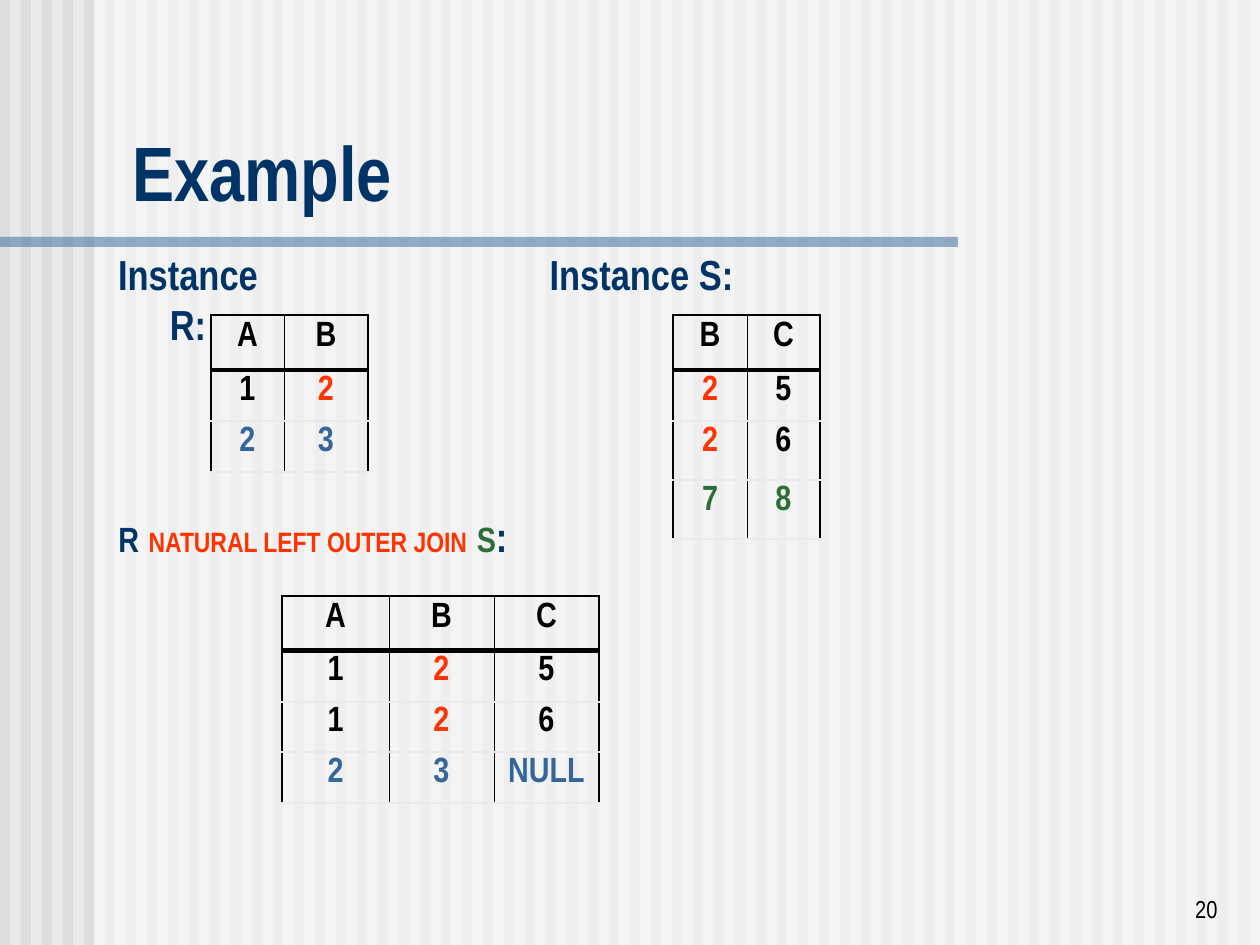
from dataclasses import dataclass

import lxml.etree
import pptx
import pptx.dml.color
import pptx.enum.shapes
import pptx.enum.text
import pptx.oxml.ns
import pptx.util

ALIGN = pptx.enum.text.PP_ALIGN
ANCHOR = pptx.enum.text.MSO_ANCHOR
PX = pptx.util.Inches(1) / 126


@dataclass(frozen=True)
class Theme:
    font: str = "Arial Narrow"
    page: str = "EAEAEA"
    stripe: str = "DDDDDD"
    sheet: str = "FFFFFF"
    navy: str = "003366"
    black: str = "000000"
    red: str = "FF3300"
    blue: str = "336699"
    green: str = "2D6D38"
    title_size: int = 44
    heading_size: int = 24
    table_size: int = 20
    keyword_size: int = 16
    number_size: int = 14
    thin: float = 0.45
    frame: float = 1.08
    divider: float = 1.47
    header_rule: float = 3


THEME = Theme()


@dataclass(frozen=True)
class Area:
    left: int
    top: int
    width: int
    height: int

    def emu(self) -> tuple[int, ...]:
        return tuple(px(n) for n in (self.left, self.top, self.width, self.height))


@dataclass(frozen=True)
class Span:
    text: str
    color: str = THEME.black
    size: int = THEME.table_size


@dataclass(frozen=True)
class Label:
    area: Area
    spans: tuple[Span, ...]
    align: ALIGN = ALIGN.LEFT
    anchor: ANCHOR = ANCHOR.TOP
    bold: bool = True
    wrap: bool = False


@dataclass(frozen=True)
class Relation:
    left: int
    top: int
    columns: tuple[int, ...]
    heights: tuple[int, ...]
    rows: tuple[tuple[Span, ...], ...]


def px(count: int) -> int:
    return round(count * PX)


def rgb(color: str) -> pptx.dml.color.RGBColor:
    return pptx.dml.color.RGBColor.from_string(color)


def add_block(page, area: Area, color: str, opacity: int = 100) -> None:
    block = page.shapes.add_shape(pptx.enum.shapes.MSO_SHAPE.RECTANGLE, *area.emu())
    block.shadow.inherit = False
    block.line.fill.background()
    block.fill.solid()
    block.fill.fore_color.rgb = rgb(color)
    if opacity < 100:
        tint = block.fill._xPr.find(".//" + pptx.oxml.ns.qn("a:srgbClr"))
        lxml.etree.SubElement(tint, pptx.oxml.ns.qn("a:alpha"), val=str(opacity * 1000))


def style_font(font, span: Span) -> None:
    font.size = pptx.util.Pt(span.size)
    font.color.rgb = rgb(span.color)


def write_spans(para, spans: tuple[Span, ...], align: ALIGN, bold: bool = True) -> None:
    para.alignment = align
    para.font.name = THEME.font
    para.font.bold = bold
    if len(spans) == 1:
        style_font(para.font, spans[0])
    for span in spans:
        run = para.add_run()
        run.text = span.text
        if len(spans) > 1:
            style_font(run.font, span)


def add_label(page, label: Label) -> None:
    frame = page.shapes.add_textbox(*label.area.emu()).text_frame
    frame.word_wrap = label.wrap
    frame.vertical_anchor = label.anchor
    write_spans(frame.paragraphs[0], label.spans, label.align, label.bold)


def add_border(cell, side: str, color: str, width: float) -> None:
    properties = cell._tc.get_or_add_tcPr()
    line = lxml.etree.SubElement(
        properties, pptx.oxml.ns.qn(f"a:ln{side}"), w=str(pptx.util.Pt(width)))
    fill = lxml.etree.SubElement(line, pptx.oxml.ns.qn("a:solidFill"))
    lxml.etree.SubElement(fill, pptx.oxml.ns.qn("a:srgbClr"), val=color)


def add_relation(page, relation: Relation) -> None:
    area = Area(relation.left, relation.top, sum(relation.columns), sum(relation.heights))
    last = len(relation.columns) - 1
    table = page.shapes.add_table(len(relation.rows), last + 1, *area.emu()).table
    table.first_row = False
    table.horz_banding = False
    for column, width in zip(table.columns, relation.columns):
        column.width = px(width)
    for row, height in zip(table.rows, relation.heights):
        row.height = px(height)

    header_rule = (THEME.black, THEME.header_rule)
    divider = (THEME.page, THEME.divider)
    for r, spans in enumerate(relation.rows):
        top = {0: (THEME.black, THEME.frame), 1: header_rule}.get(r, divider)
        bottom = header_rule if r == 0 else divider
        for c, span in enumerate(spans):
            cell = table.cell(r, c)
            add_border(cell, "L", THEME.black, THEME.frame if c == 0 else THEME.thin)
            add_border(cell, "R", THEME.black, THEME.frame if c == last else THEME.thin)
            add_border(cell, "T", *top)
            add_border(cell, "B", *bottom)
            cell.fill.background()
            para = cell.text_frame.paragraphs[0]
            if r > 0:
                para.line_spacing = 0.9
            write_spans(para, (span,), ALIGN.CENTER)


def heading(text: str) -> tuple[Span, ...]:
    return (Span(text, THEME.navy, THEME.heading_size),)


def red(text: str) -> Span:
    return Span(text, THEME.red)


def blue(text: str) -> Span:
    return Span(text, THEME.blue)


def green(text: str) -> Span:
    return Span(text, THEME.green)


LABELS = (
    Label(Area(120, 118, 1125, 105), (Span("Example", THEME.navy, THEME.title_size),),
          anchor=ANCHOR.BOTTOM, wrap=True),
    Label(Area(537, 242, 209, 63), heading("Instance S:"), ALIGN.CENTER),
    Label(Area(83, 242, 210, 63), heading("Instance R:"), ALIGN.CENTER),
    Label(Area(106, 504, 416, 63), (
        Span("R", THEME.navy), *heading(" "),
        Span("NATURAL LEFT OUTER JOIN", THEME.red, THEME.keyword_size),
        *heading(" "), green("S"), *heading(":"))),
    Label(Area(968, 867, 262, 63), (Span("20", size=THEME.number_size),),
          ALIGN.RIGHT, ANCHOR.BOTTOM, bold=False, wrap=True),
)

RELATIONS = (
    Relation(673, 315, (74, 73), (55, 51, 59, 59), (
        (Span("B"), Span("C")),
        (red("2"), Span("5")),
        (red("2"), Span("6")),
        (green("7"), green("8")))),
    Relation(211, 315, (73, 84), (55, 51, 51), (
        (Span("A"), Span("B")),
        (Span("1"), red("2")),
        (blue("2"), blue("3")))),
    Relation(282, 596, (107, 105, 105), (54, 51, 50, 51), (
        (Span("A"), Span("B"), Span("C")),
        (Span("1"), red("2"), Span("5")),
        (Span("1"), red("2"), Span("6")),
        (blue("2"), blue("3"), blue("NULL")))),
)


def main() -> None:
    deck = pptx.Presentation()
    deck.slide_width, deck.slide_height = px(1260), px(945)
    page = deck.slides.add_slide(deck.slide_layouts[6])
    page.background.fill.solid()
    page.background.fill.fore_color.rgb = rgb(THEME.page)
    for left in range(0, 1260, 21):
        add_block(page, Area(left, 0, 10, 945), THEME.stripe)
    add_block(page, Area(94, 0, 1166, 945), THEME.sheet, opacity=50)
    add_block(page, Area(0, 237, 958, 10), THEME.blue, opacity=50)
    for label in LABELS:
        add_label(page, label)
    for relation in RELATIONS:
        add_relation(page, relation)
    deck.save("out.pptx")


if __name__ == "__main__":
    main()
